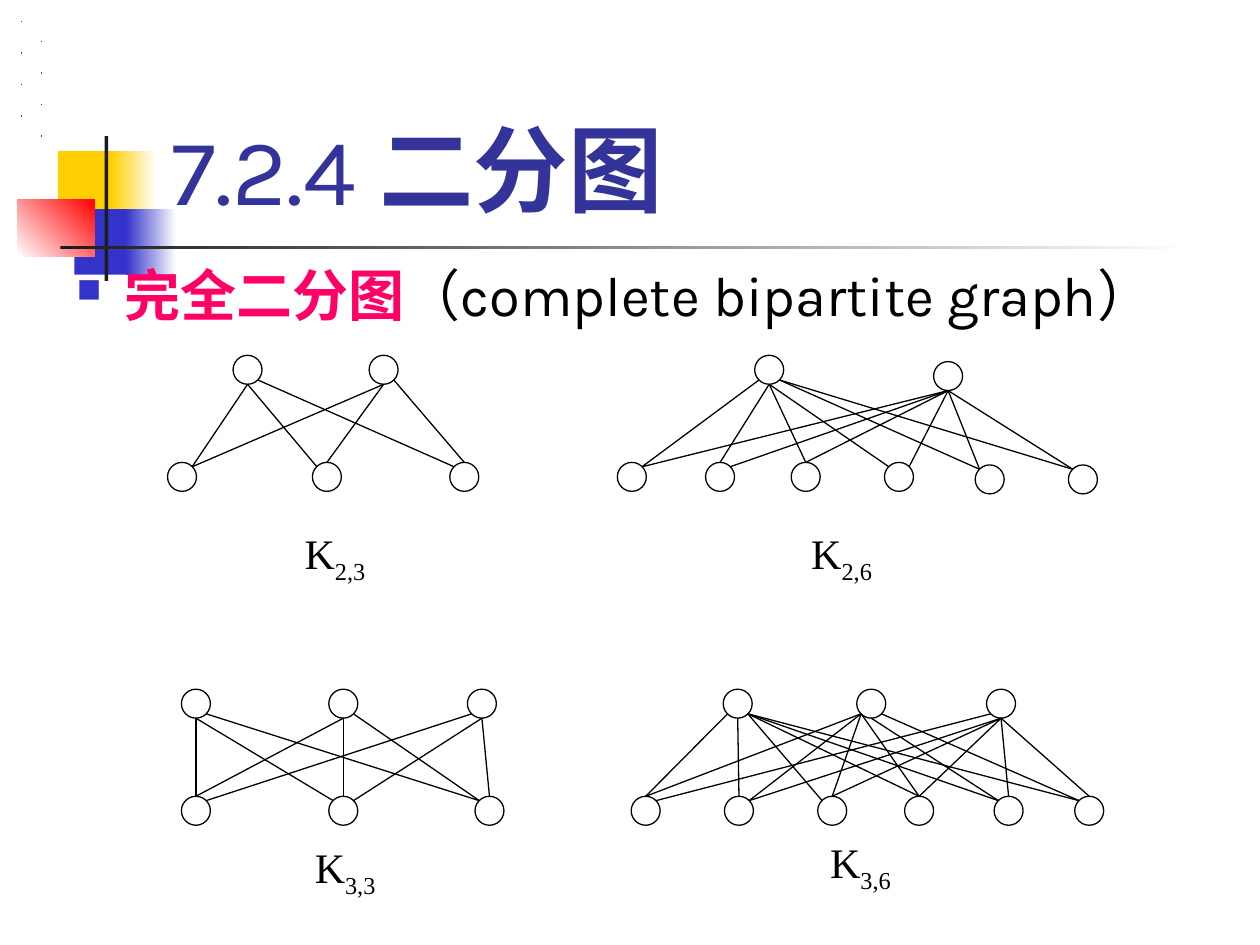
from dataclasses import dataclass
from itertools import product

from lxml.etree import SubElement
from pptx import Presentation
from pptx.dml.color import RGBColor
from pptx.enum.shapes import MSO_CONNECTOR, MSO_SHAPE
from pptx.enum.text import MSO_ANCHOR
from pptx.oxml.ns import qn
from pptx.util import Inches, Pt


@dataclass(frozen=True)
class Theme:
    """Colours, fonts, type sizes and line width of the deck."""
    yellow: str = "FFCF01"
    blue: str = "3333CC"
    red: str = "FF0000"
    dark: str = "1C1C1C"
    white: str = "FFFFFF"
    black: str = "000000"
    title: str = "333399"
    term: str = "FF0066"
    dot: str = "00E4A8"
    sans: str = "Karla"
    serif: str = "Times New Roman"
    asian: str = "Noto Sans CJK SC"
    title_size: int = 54
    body_size: int = 32
    label_size: int = 24
    line_width: float = 0.75


THEME = Theme()
NODE_SIZE = 0.23
ROW_DROP = 0.85
SITE_SHIFT = {"L": -0.08, "C": 0, "R": 0.08}

GRAPHS = [
    dict(box=(1.33, 2.82), label=("2,3", 0.99, 1.32),
         tops=[(0.52, 0), (1.6, 0)],
         bottoms=[(0, 0), (1.15, 0), (2.24, 0)],
         edges=["CR CL RL", "CR CC RC"]),
    dict(box=(4.9, 2.82), label=("2,6", 1.44, 1.32),
         tops=[(1.09, 0), (2.51, 0.05)],
         bottoms=[(0, 0), (0.7, 0), (1.38, 0), (2.12, 0), (2.84, 0.02), (3.58, 0.02)],
         edges=["LR CC CC CL RL RL", "CR CR CC CR CL CL"]),
    dict(box=(1.44, 5.47), label=("3,3", 0.96, 1.16),
         tops=[(0, 0), (1.17, 0), (2.27, 0)],
         bottoms=[(0, 0), (1.17, 0), (2.33, 0)],
         edges=["CC CL RL", "CC CC RL", "LR CR CC"]),
    dict(box=(5.01, 5.47), label=("3,6", 1.48, 1.12),
         tops=[(0.73, 0), (1.79, 0), (2.82, 0)],
         bottoms=[(0, 0), (0.74, 0), (1.48, 0), (2.17, 0), (2.88, 0), (3.52, 0)],
         edges=["LC CC RL RC RL RL", "LC LR LC LC CL RL", "LR CR CC CC CC CC"]),
]


def add_span(para, text, *, font, size, color, bold=False, subscript=False):
    """Append a formatted run to a paragraph."""
    span = para.add_run()
    span.text = text
    span.font.name = font
    span.font.size = Pt(size)
    span.font.bold = bold
    span.font.color.rgb = RGBColor.from_string(color)
    properties = span.font._element
    SubElement(properties, qn("a:ea")).set("typeface", THEME.asian)
    if subscript:
        properties.set("baseline", "-25000")


def add_box(page, box, anchor=MSO_ANCHOR.TOP):
    """Add a wrapping text box and return its first paragraph."""
    frame = page.shapes.add_textbox(*map(Inches, box)).text_frame
    frame.word_wrap = True
    frame.vertical_anchor = anchor
    return frame.paragraphs[0]


def add_filled(page, kind, box, fill, end=None, angle=0, outlined=False):
    """Add a preset shape with a solid fill, or a gradient when an end colour is given."""
    shape = page.shapes.add_shape(kind, *map(Inches, box))
    shape.shadow.inherit = False
    if end:
        shape.fill.gradient()
        shape.fill.gradient_angle = angle
        for stop, color in zip(shape.fill.gradient_stops, (fill, end)):
            stop.color.rgb = RGBColor.from_string(color)
    else:
        shape.fill.solid()
        shape.fill.fore_color.rgb = RGBColor.from_string(fill)
    if outlined:
        shape.line.color.rgb = RGBColor.from_string(THEME.black)
        shape.line.width = Pt(THEME.line_width)
    else:
        shape.line.fill.background()


def add_emblem(page, left, top):
    """Draw the overlapping colour blocks and the crossing rules."""
    blocks = [
        ((0.32, 0.12, 0.48, 0.52), THEME.yellow, None, 0),
        ((0.74, 0.12, 0.36, 0.52), THEME.yellow, THEME.white, 0),
        ((0.45, 0.58, 0.46, 0.52), THEME.blue, None, 0),
        ((0.86, 0.58, 0.4, 0.52), THEME.blue, THEME.white, 0),
        ((0, 0.5, 0.61, 0.46), THEME.white, THEME.red, 45),
        ((0.69, 0, 0.03, 1.15), THEME.dark, None, 0),
        ((0.34, 0.87, 9, 0.03), THEME.dark, THEME.white, 0),
    ]
    for (x, y, width, height), fill, end, angle in blocks:
        add_filled(page, MSO_SHAPE.RECTANGLE, (left + x, top + y, width, height),
                   fill, end, angle)


def add_title(page, box):
    """Write the section heading."""
    para = add_box(page, box, MSO_ANCHOR.BOTTOM)
    style = dict(font=THEME.sans, size=THEME.title_size, color=THEME.title)
    add_span(para, "7.2.4 ", **style)
    add_span(para, "二分图", bold=True, **style)


def add_body(page, box):
    """Write the bulleted term with its English name."""
    para = add_box(page, box)
    properties = para._p.get_or_add_pPr()
    properties.set("marL", str(Inches(0.38)))
    properties.set("indent", str(Inches(-0.38)))
    bullet_color = SubElement(properties, qn("a:buClr"))
    SubElement(bullet_color, qn("a:srgbClr")).set("val", THEME.blue)
    SubElement(properties, qn("a:buSzPct")).set("val", "60000")
    SubElement(properties, qn("a:buChar")).set("char", "■")
    style = dict(font=THEME.sans, size=THEME.body_size)
    add_span(para, "完全二分图", color=THEME.term, bold=True, **style)
    add_span(para, "（complete bipartite graph）", color=THEME.black, **style)


def add_dots(page, left, top):
    """Scatter two staggered columns of point-sized marks."""
    for column, row in product(range(2), range(4)):
        x, y = left + 0.16 * column, top + 0.16 * column + 0.25 * row
        add_filled(page, MSO_SHAPE.RECTANGLE, (x, y, 0, 0), THEME.dot, outlined=True)


def add_edge(page, start, end):
    """Draw one thin straight edge."""
    edge = page.shapes.add_connector(MSO_CONNECTOR.STRAIGHT, *map(Inches, start + end))
    edge.line.color.rgb = RGBColor.from_string(THEME.black)
    edge.line.width = Pt(THEME.line_width)
    SubElement(edge._element.spPr, qn("a:effectLst"))


def site(node, side, lower):
    """Return the point on a node's lower or upper rim for side L, C or R."""
    x, y = node
    rim = NODE_SIZE / 2 if side == "C" else 0.08
    middle = NODE_SIZE / 2
    return x + middle + SITE_SHIFT[side], y + middle + (rim if lower else -rim)


def add_graph(page, box, label, tops, bottoms, edges):
    """Draw a complete bipartite graph; each edge names its upper and lower site."""
    left, top = box
    uppers = [(left + x, top + y) for x, y in tops]
    lowers = [(left + x, top + ROW_DROP + y) for x, y in bottoms]
    for x, y in uppers + lowers:
        add_filled(page, MSO_SHAPE.OVAL, (x, y, NODE_SIZE, NODE_SIZE),
                   THEME.white, outlined=True)
    for upper, sides in zip(uppers, edges):
        for lower, (start, end) in zip(lowers, sides.split()):
            add_edge(page, site(upper, start, True), site(lower, end, False))
    indices, x, y = label
    para = add_box(page, (left + x, top + y, 1.1, 0.51))
    style = dict(font=THEME.serif, size=THEME.label_size, color=THEME.black)
    add_span(para, "K", **style)
    add_span(para, indices, subscript=True, **style)


def main():
    """Build and save the deck."""
    deck = Presentation()
    deck.slide_width, deck.slide_height = Inches(10), Inches(7.5)
    page = deck.slides.add_slide(deck.slide_layouts[6])
    add_emblem(page, 0.14, 1.08)
    add_title(page, (1.26, 0.23, 8.52, 1.6))
    add_body(page, (0.51, 2.02, 9.49, 5.48))
    add_dots(page, 0.17, 0.17)
    for graph in GRAPHS:
        add_graph(page, **graph)
    deck.save("out.pptx")


if __name__ == "__main__":
    main()
